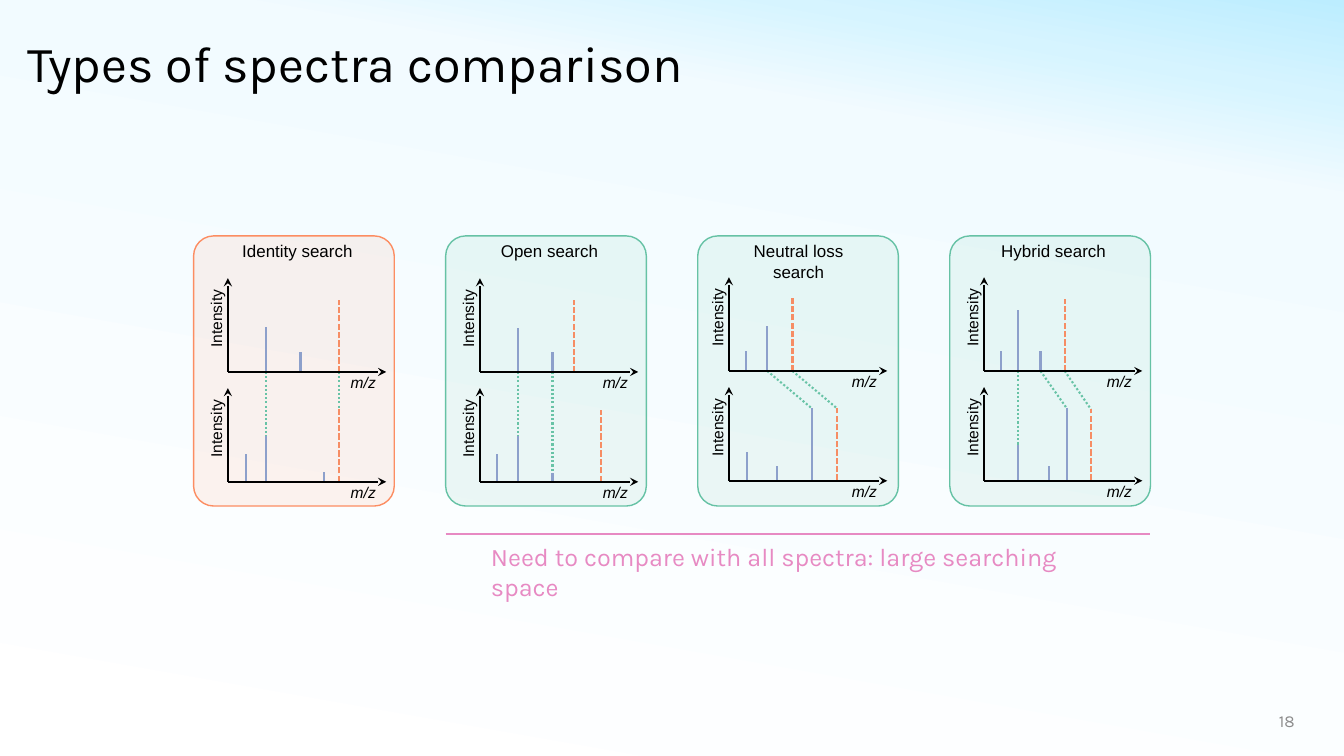
from dataclasses import dataclass

from lxml import etree
from pptx import Presentation
from pptx import util as u
from pptx.dml.color import RGBColor
from pptx.enum import dml, shapes, text
from pptx.oxml.ns import qn

PX = 9144  # EMU per px, 100 px to the inch
SOLID, DOTTED, DASHED = None, dml.MSO_LINE.ROUND_DOT, dml.MSO_LINE.SQUARE_DOT
LEFT, CENTER, RIGHT = text.PP_ALIGN.LEFT, text.PP_ALIGN.CENTER, text.PP_ALIGN.RIGHT


@dataclass(frozen=True)
class Theme:
    ink: str = "000000"
    page_number: str = "8C8C8C"
    identity: str = "FC8D62"
    shifted: str = "66C2A5"
    match: str = "68C3A6"
    fragment: str = "8DA0CB"
    precursor: str = "F68D64"
    remark: str = "E78AC3"
    sky: tuple = ((0, "FFFFFF"), (80, "F2FBFF"), (90, "D6F4FF"), (100, "BCEDFF"))
    heading_font: str = "Karla"
    label_font: str = "Arial"
    title_size: float = 36
    remark_size: float = 18
    header_size: float = 12.1
    axis_size: float = 11.1
    number_size: float = 12


@dataclass(frozen=True)
class Spectrum:
    """Peak heights keyed by their distance from the vertical axis."""
    fragments: dict
    precursor: dict


@dataclass(frozen=True)
class Search:
    name: str
    color: str
    axis_x: int
    baselines: tuple
    query: Spectrum
    library: Spectrum
    matches: tuple


class SlideBuilder:
    def __init__(self, slide, theme):
        self.slide, self.theme = slide, theme

    def background(self):
        fill = self.slide.background.fill
        fill.gradient()
        fill.gradient_angle = 80
        stops = self.slide.element.find(".//" + qn("a:gsLst"))
        for stop in list(stops):
            stops.remove(stop)
        for percent, color in self.theme.sky:
            stop = etree.SubElement(stops, qn("a:gs"), pos=str(percent * 1000))
            etree.SubElement(stop, qn("a:srgbClr"), val=color)

    def format(self, paragraph, size, color, font, align=LEFT, italic=False):
        paragraph.alignment = align
        for run in paragraph.runs:
            run.font.size = u.Pt(size)
            run.font.name = font
            run.font.italic = italic
            run.font.color.rgb = RGBColor.from_string(color)

    def title(self, words, left, top, width, height):
        title = self.slide.shapes.title
        title.left, title.top = left * PX, top * PX
        title.width, title.height = width * PX, height * PX
        frame = title.text_frame
        frame.text = words
        frame.word_wrap = True
        frame.auto_size = text.MSO_AUTO_SIZE.NONE
        frame.vertical_anchor = text.MSO_ANCHOR.MIDDLE
        frame.paragraphs[0].line_spacing = 0.9
        self.format(frame.paragraphs[0], self.theme.title_size,
                    self.theme.ink, self.theme.heading_font)

    def label(self, words, left, top, width, height, size, color, font,
              align=LEFT, italic=False, wrap=True, rotation=0):
        label = self.slide.shapes.add_textbox(left * PX, top * PX, width * PX, height * PX)
        label.rotation = rotation
        frame = label.text_frame
        frame.text = words
        frame.word_wrap = wrap
        frame.auto_size = text.MSO_AUTO_SIZE.SHAPE_TO_FIT_TEXT
        self.format(frame.paragraphs[0], size, color, font, align, italic)

    def line(self, x1, y1, x2, y2, color, dash=SOLID, arrow=False):
        line = self.slide.shapes.add_connector(
            shapes.MSO_CONNECTOR.STRAIGHT, x1 * PX, y1 * PX, x2 * PX, y2 * PX)
        line.line.color.rgb = RGBColor.from_string(color)
        line.line.width = u.Pt(1.5)
        if dash is not SOLID:
            line.line.dash_style = dash
        properties = line.element.spPr
        if arrow:
            etree.SubElement(properties.find(qn("a:ln")), qn("a:tailEnd"), type="stealth")
        etree.SubElement(properties, qn("a:effectLst"))

    def card(self, left, top, width, height, color):
        card = self.slide.shapes.add_shape(
            shapes.MSO_SHAPE.ROUNDED_RECTANGLE, left * PX, top * PX, width * PX, height * PX)
        card.adjustments[0] = 0.1
        card.shadow.inherit = False
        card.fill.solid()
        card.fill.fore_color.rgb = RGBColor.from_string(color)
        tint = card.element.spPr.find(qn("a:solidFill")).find(qn("a:srgbClr"))
        etree.SubElement(tint, qn("a:alpha"), val="10000")
        card.line.color.rgb = RGBColor.from_string(color)
        card.line.width = u.Pt(1)

    def spectrum(self, spectrum, x, baseline):
        """Draw the peaks, both axes and the axis names."""
        style = self.theme
        for peaks, color, dash in ((spectrum.fragments, style.fragment, SOLID),
                                   (spectrum.precursor, style.precursor, DASHED)):
            for offset, height in peaks.items():
                self.line(x + offset, baseline, x + offset, baseline - height, color, dash)
        self.line(x, baseline, x, baseline - 93, style.ink, arrow=True)
        self.line(x, baseline, x + 157, baseline, style.ink, arrow=True)
        look = dict(size=style.axis_size, color=style.ink, font=style.label_font, wrap=False)
        self.label("m/z", x + 112, baseline - 4, 45, 29, italic=True, **look)
        self.label("Intensity", x - 51, baseline - 68, 79, 29, rotation=270, **look)

    def search(self, search, left):
        style, x = self.theme, search.axis_x
        query_base, library_base = search.baselines
        self.card(left, 234, 199, 268, search.color)
        library_peaks = {**search.library.fragments, **search.library.precursor}
        for start, end in search.matches:
            self.line(x + start, query_base, x + end, library_base - library_peaks[end],
                      style.match, DOTTED)
        self.spectrum(search.query, x, query_base)
        self.spectrum(search.library, x, library_base)
        self.label(search.name, x - 11, 234, 160, 30, style.header_size,
                   style.ink, style.label_font, CENTER)


def main():
    theme = Theme()
    searches = (
        Search("Identity search", theme.identity, 226, (369, 478),
               Spectrum({38: 45, 72: 20}, {110: 71}),
               Spectrum({18: 28, 38: 45, 95: 10}, {110: 72}),
               ((38, 38), (110, 110))),
        Search("Open search", theme.shifted, 476, (369, 478),
               Spectrum({38: 44, 72: 20}, {93: 71}),
               Spectrum({17: 28, 38: 45, 72: 9}, {120: 71}),
               ((38, 38), (72, 72))),
        Search("Neutral loss search", theme.shifted, 723, (368, 477),
               Spectrum({17: 20, 38: 45}, {63: 72}),
               Spectrum({18: 29, 48: 15, 82: 72}, {107: 72}),
               ((38, 82), (63, 107))),
        Search("Hybrid search", theme.shifted, 976, (368, 477),
               Spectrum({17: 20, 34: 60, 56: 20}, {80: 71}),
               Spectrum({34: 36, 64: 15, 82: 72}, {106: 71}),
               ((34, 34), (56, 82), (80, 106))),
    )
    deck = Presentation()
    deck.slide_width, deck.slide_height = 1333 * PX, 750 * PX
    builder = SlideBuilder(deck.slides.add_slide(deck.slide_layouts[5]), theme)
    builder.background()
    builder.title("Types of spectra comparison", 17, 26, 1306, 79)
    for column, search in enumerate(searches):
        builder.search(search, 192 + 250 * column)
    builder.line(442, 530, 1141, 530, theme.remark)
    builder.label("Need to compare with all spectra: large searching space",
                  477, 532, 628, 70, theme.remark_size, theme.remark, theme.heading_font)
    builder.label("18", 1244, 700, 50, 29, theme.number_size,
                  theme.page_number, theme.heading_font, RIGHT)
    deck.save("out.pptx")


if __name__ == "__main__":
    main()
